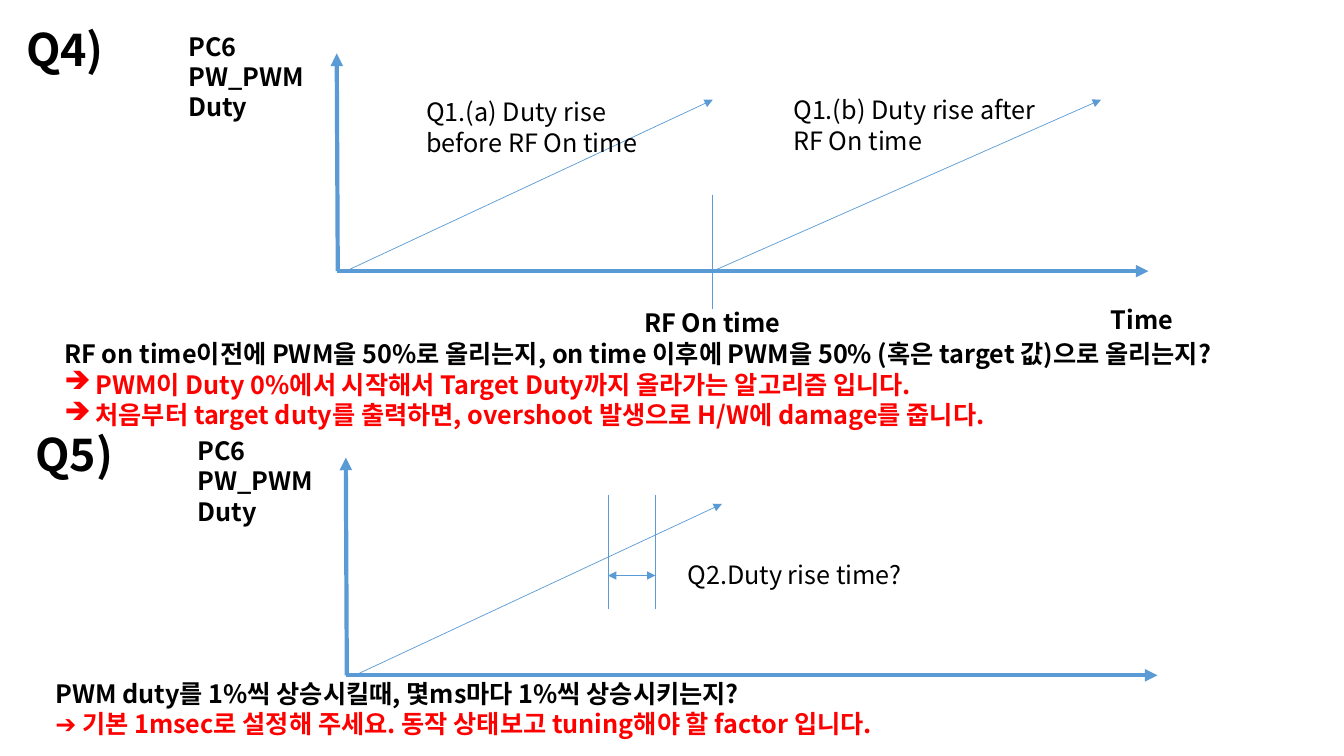
from dataclasses import dataclass
from lxml import etree
from pptx import Presentation
from pptx import util as u
from pptx.dml.color import RGBColor
from pptx.enum import shapes, text
from pptx.oxml.ns import qn


@dataclass(frozen=True)
class Theme:
    font: str = "Noto Sans CJK KR"
    ink: str = "000000"
    answer: str = "FF0000"
    line: str = "5B9BD5"
    body: int = 18
    heading: int = 32
    axis: float = 3
    thin: float = 0.5


THEME = Theme()
ARROW = "\u2794"


def add_bullet(p, char, indent):
    pPr = p._p.get_or_add_pPr()
    pPr.set("marL", str(u.Inches(indent)))
    pPr.set("indent", str(-u.Inches(indent)))
    etree.SubElement(pPr, qn("a:buChar")).set("char", char)


def add_text(s, lines, x, y, w, h, size=THEME.body, bold=False, bullet=None):
    sp = s.shapes.add_textbox(*map(u.Inches, (x, y, w, h)))
    tf = sp.text_frame
    tf.word_wrap = True
    tf.auto_size = text.MSO_AUTO_SIZE.SHAPE_TO_FIT_TEXT
    for i, line in enumerate(lines):
        p = tf.add_paragraph() if i else tf.paragraphs[0]
        p.text = line.replace("\n", "\v")
        for r in p.runs:
            r.font.name = THEME.font
            r.font.size = u.Pt(size)
            r.font.bold = bold
            r.font.color.rgb = RGBColor.from_string(THEME.answer if i else THEME.ink)
            ea = etree.SubElement(r._r.get_or_add_rPr(), qn("a:ea"))
            ea.set("typeface", THEME.font)
        if i and bullet:
            add_bullet(p, bullet, 0.31)


def add_line(s, x1, y1, x2, y2, width=THEME.thin, head=False, tail=False):
    sp = s.shapes.add_connector(shapes.MSO_CONNECTOR.STRAIGHT, *map(u.Inches, (x1, y1, x2, y2)))
    sp.line.color.rgb = RGBColor.from_string(THEME.line)
    sp.line.width = u.Pt(width)
    ln = sp.line._get_or_add_ln()
    for end, shown in (("a:headEnd", head), ("a:tailEnd", tail)):
        if shown:
            etree.SubElement(ln, qn(end)).set("type", "triangle")
    etree.SubElement(sp._element.spPr, qn("a:effectLst"))


def add_duty_graph(s, x, y, title):
    left, base = x + 3.18, y + 2.52
    add_line(s, left, base, left + 8.05, base, width=THEME.axis, tail=True)
    add_line(s, left + 0.01, base, left, base - 2.16, width=THEME.axis, tail=True)
    add_line(s, left + 0.09, base, left + 3.73, base - 1.7, tail=True)
    add_text(s, ["PC6 PW_PWM Duty"], x + 1.61, y + 0.09, 1.8, 1.01, bold=True)
    add_text(s, [title], x, y, 1.8, 0.64, size=THEME.heading, bold=True)


def add_rf_on_question(s, x, y):
    add_duty_graph(s, x, y, "Q4)")
    rf_on, base = x + 6.91, y + 2.52
    add_line(s, rf_on, base - 0.76, rf_on, base + 0.38)
    add_line(s, rf_on, base, rf_on + 3.85, base - 1.7, tail=True)
    add_text(s, ["RF On time"], x + 6.13, y + 2.83, 4.3, 0.4, bold=True)
    add_text(s, ["Time"], x + 10.76, y + 2.8, 1.8, 0.4, bold=True)
    add_text(s, ["Q1.(a) Duty rise before RF On time "], x + 3.97, y + 0.74, 2.47, 0.71)
    add_text(s, ["Q1.(b) Duty rise after\nRF On time "], x + 7.61, y + 0.72, 2.73, 0.71)
    add_text(s, [
        "RF on time이전에 PWM을 50%로 올리는지, on time 이후에 PWM을 50% (혹은 target 값)으로 올리는지?",
        "PWM이 Duty 0%에서 시작해서 Target Duty까지 올라가는 알고리즘 입니다.",
        "처음부터 target duty를 출력하면, overshoot 발생으로 H/W에 damage를 줍니다.",
    ], x + 0.38, y + 3.14, 12.8, 1.01, bold=True, bullet=ARROW)


def add_rise_time_question(s, x, y):
    add_duty_graph(s, x, y, "Q5)")
    start, end = x + 5.78, x + 6.25
    for edge in (start, end):
        add_line(s, edge, y + 0.73, edge, y + 1.86)
    add_line(s, start, y + 1.53, end, y + 1.53, head=True, tail=True)
    add_text(s, ["Q2.Duty rise time?"], x + 6.47, y + 1.32, 2.47, 0.4)
    add_text(s, [
        "PWM duty를 1%씩 상승시킬때, 몇ms마다 1%씩 상승시키는지? ",
        ARROW + " 기본 1msec로 설정해 주세요. 동작 상태보고 tuning해야 할 factor 입니다.",
    ], x + 0.2, y + 2.5, 12.8, 0.71, bold=True)


prs = Presentation()
prs.slide_width, prs.slide_height = u.Inches(13.33), u.Inches(7.5)
s = prs.slides.add_slide(prs.slide_layouts[6])
add_rf_on_question(s, 0.16, 0.17)
add_rise_time_question(s, 0.25, 4.18)
prs.save("out.pptx")
